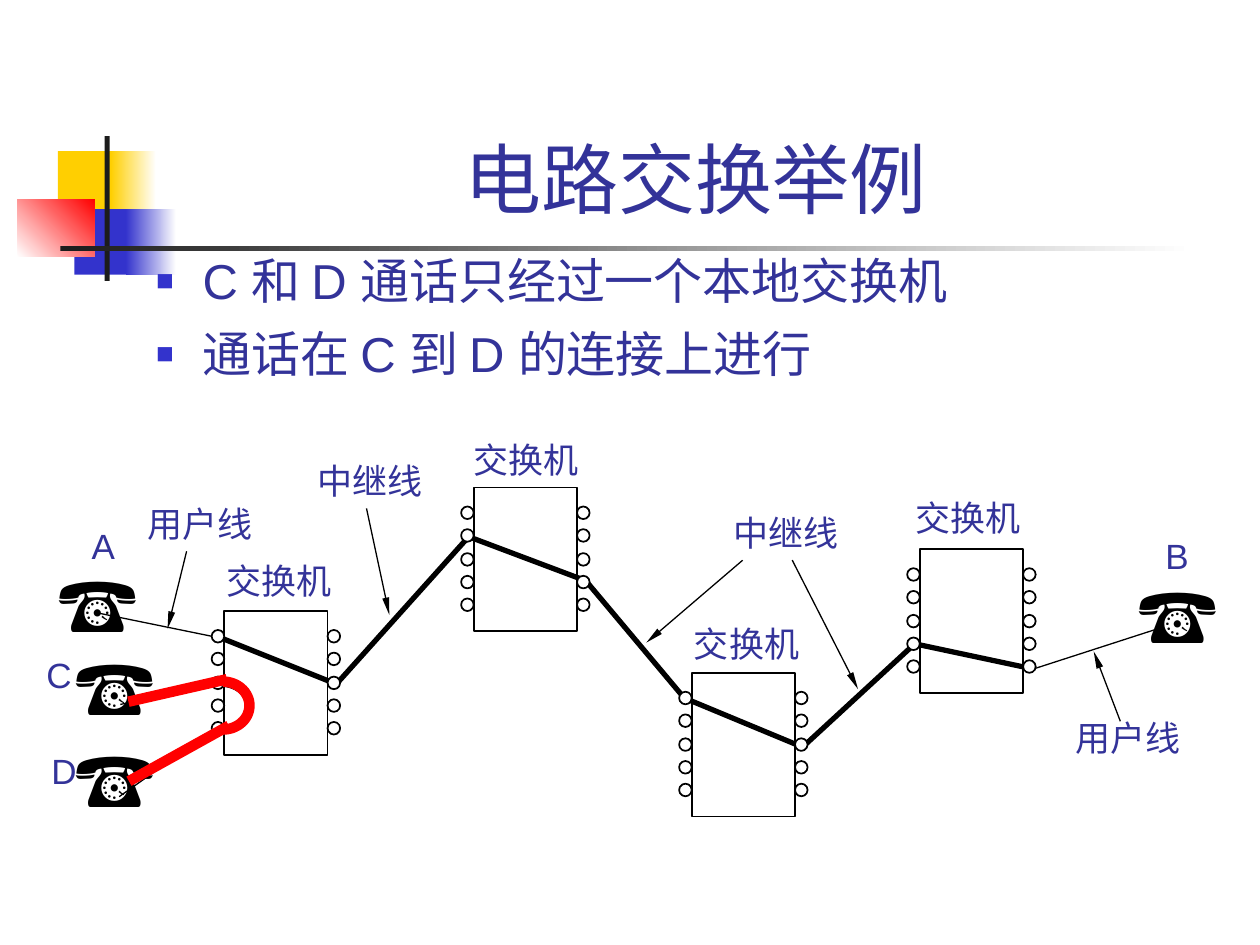
from math import cos, pi, sin

from lxml import etree
from pptx import Presentation
from pptx import util as u
from pptx.dml.color import RGBColor
from pptx.enum import shapes, text
from pptx.oxml import ns

deck = Presentation()
deck.slide_width, deck.slide_height = u.Inches(10), u.Inches(7.5)
cell = deck.slide_width // 1000
page = deck.slides.add_slide(deck.slide_layouts[5])
colour = RGBColor.from_string
navy, black, red, white = "333399", "000000", "FF0000", "FFFFFF"


def paint(shape, fill=None, line=None, width=1):
    shape.shadow.inherit = False
    if fill:
        shape.fill.solid()
        shape.fill.fore_color.rgb = colour(fill)
    else:
        shape.fill.background()
    if line:
        shape.line.color.rgb = colour(line)
        shape.line.width = u.Pt(width)
    else:
        shape.line.fill.background()


def connect(ends, line=black, width=0.75, arrow=False):
    wire = page.shapes.add_connector(
        shapes.MSO_CONNECTOR.STRAIGHT, *[cell * n for n in ends])
    wire.line.color.rgb = colour(line)
    wire.line.width = u.Pt(width)
    stroke = wire._element.spPr.find(ns.qn("a:ln"))
    stroke.set("cap", "sq")
    if arrow:
        etree.SubElement(stroke, ns.qn("a:tailEnd"), type="triangle", w="sm", len="lg")
    etree.SubElement(wire._element.spPr, ns.qn("a:effectLst"))


for at, start, end, angle in [
    ((46, 120, 48, 52), "FFCF01", None, 0),
    ((88, 120, 36, 52), "FFCF01", white, 0),
    ((59, 166, 46, 52), "3333CC", None, 0),
    ((100, 166, 40, 52), "3333CC", white, 0),
    ((14, 158, 61, 46), white, red, 45),
    ((83, 108, 4, 115), "1C1C1C", None, 0),
    ((48, 195, 900, 4), "1C1C1C", white, 0),
]:
    ornament = page.shapes.add_shape(shapes.MSO_SHAPE.RECTANGLE, *[cell * n for n in at])
    paint(ornament, start)
    if end:
        ornament.fill.gradient()
        ornament.fill.gradient_angle = angle
        for stop, position, hue in zip(ornament.fill.gradient_stops, (0, 1), (start, end)):
            stop.position = position
            stop.color.rgb = colour(hue)

title = page.shapes.title
title.left, title.top, title.width, title.height = [cell * n for n in (126, 23, 852, 160)]
title.text_frame.text = "电路交换举例"
title.text_frame.vertical_anchor = text.MSO_ANCHOR.BOTTOM
para = title.text_frame.paragraphs[0]
para.alignment = text.PP_ALIGN.CENTER
span = para.runs[0]
span.font.size, span.font.name = u.Pt(44), "Arial"
span.font.color.rgb = colour(navy)

body = page.shapes.add_textbox(*[cell * n for n in (114, 194, 850, 450)])
body.text_frame.word_wrap = True
body.text_frame.text = "C 和 D 通话只经过一个本地交换机\n通话在 C 到 D 的连接上进行"
for index, para in enumerate(body.text_frame.paragraphs):
    settings = para._p.get_or_add_pPr()
    settings.set("marL", str(cell * 37))
    settings.set("indent", str(cell * -37))
    para.space_before = u.Pt(8 * index)
    bullet_colour = etree.SubElement(settings, ns.qn("a:buClr"))
    etree.SubElement(bullet_colour, ns.qn("a:srgbClr"), val="3333CC")
    etree.SubElement(settings, ns.qn("a:buSzPct"), val="60000")
    etree.SubElement(settings, ns.qn("a:buFont"), typeface="Arial")
    etree.SubElement(settings, ns.qn("a:buChar"), char="■")
    for span in para.runs:
        span.font.size, span.font.name = u.Pt(28), "Arial"
        span.font.color.rgb = colour(navy)

for ends in [(95, 632, 173, 577), (96, 559, 174, 542),
             (817, 532, 919, 499), (80, 487, 173, 506)]:
    connect(ends)

route = [(171, 504), (172, 505), (267, 543), (372, 426), (465, 461),
         (543, 554), (637, 593), (726, 511), (820, 531), (818, 529)]
builder = page.shapes.build_freeform(*route[0], scale=cell)
builder.add_line_segments(route[1:], close=False)
paint(builder.convert_to_shape(), line=black, width=3)

turns = []
for middle_x, middle_y, reach, rise in [(175, 560.5, 22, 17.5), (177, 560, 21, 19)]:
    angles = [pi * (step / 40 - 0.5) for step in range(41)]
    turns.append([(cell * (middle_x + reach * cos(a)), cell * (middle_y + rise * sin(a)))
                  for a in angles])
local_turn, call_turn = turns
builder = page.shapes.build_freeform(*local_turn[0])
builder.add_line_segments(local_turn[1:], close=False)
paint(builder.convert_to_shape(), line=black, width=3)

for left, top in [(178, 485), (376, 387), (549, 534), (730, 436)]:
    switch = page.shapes.add_shape(
        shapes.MSO_SHAPE.RECTANGLE, *[cell * n for n in (left, top, 82, 114)])
    paint(switch, line=black)
    for port_left in (left - 10, left + 82):
        for drop in (15, 33, 52, 70, 88):
            port = page.shapes.add_shape(
                shapes.MSO_SHAPE.OVAL, *[cell * n for n in (port_left, top + drop, 10, 10)])
            paint(port, white, black)

for ends in [(148, 438, 133, 499), (889, 572, 868, 517), (589, 445, 513, 510),
             (629, 445, 681, 547), (291, 404, 309, 488)]:
    connect(ends, arrow=True)

phone = (84, 84, 44, "Arial", black)
name = (106, 44, 20, "Times New Roman", navy)
letter = (40, 44, 20, "Arial", navy)
for words, look, places in [
    ("☎", phone, [(37, 436), (894, 445), (50, 502), (50, 575)]),
    ("交换机", name, [(170, 439), (366, 343), (541, 489), (717, 389)]),
    ("用户线", name, [(107, 394), (844, 564)]),
    ("中继线", name, [(572, 401), (242, 360)]),
    ("A", letter, [(63, 411)]),
    ("B", letter, [(915, 419)]),
    ("C", letter, [(27, 514)]),
    ("D", letter, [(31, 590)]),
]:
    width, height, size, face, hue = look
    for left, top in places:
        box = page.shapes.add_textbox(*[cell * n for n in (left, top, width, height)])
        box.text_frame.word_wrap = False
        box.text_frame.auto_size = text.MSO_AUTO_SIZE.SHAPE_TO_FIT_TEXT
        box.text_frame.text = words
        span = box.text_frame.paragraphs[0].runs[0]
        span.font.size, span.font.name = u.Pt(size), face
        span.font.color.rgb = colour(hue)

builder = page.shapes.build_freeform(*call_turn[0])
builder.add_line_segments(call_turn[1:], close=False)
paint(builder.convert_to_shape(), line=red, width=6)
for ends in [(106, 556, 176, 540), (106, 618, 178, 578)]:
    connect(ends, red, 6)

deck.save("out.pptx")
